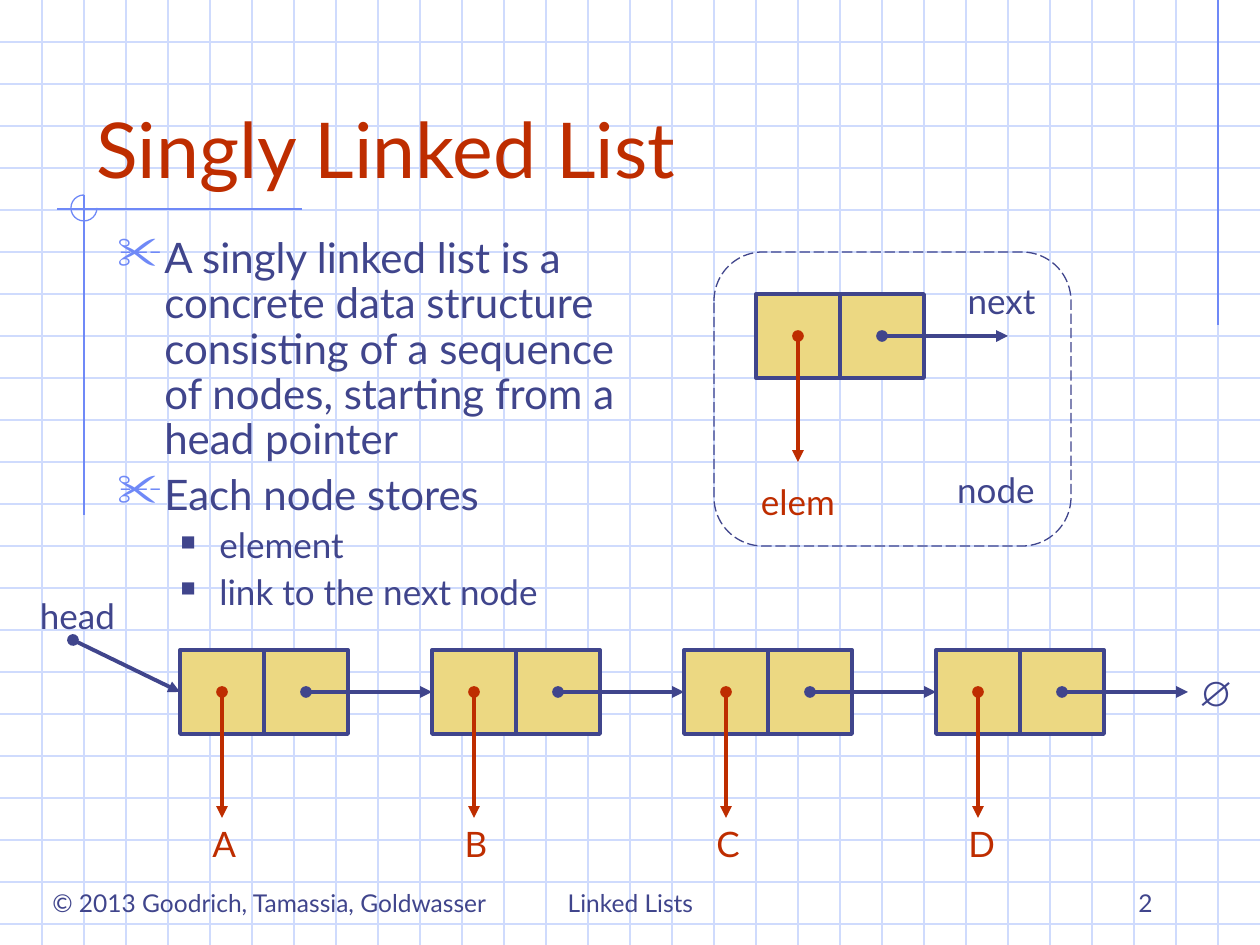
from lxml import etree
from pptx import Presentation
from pptx.dml.color import RGBColor
from pptx.enum.dml import MSO_LINE
from pptx.enum.shapes import MSO_CONNECTOR, MSO_SHAPE
from pptx.enum.text import MSO_ANCHOR, MSO_AUTO_SIZE, PP_ALIGN
from pptx.oxml.ns import qn
from pptx.util import Pt

PX = 914400 / 126
WIDTH, HEIGHT = 1260, 945
GRID = 42
CELL = 2 * GRID
REACH = 3 * GRID
LEFT_SIDE = 1
LEFT, CENTER, RIGHT = PP_ALIGN.LEFT, PP_ALIGN.CENTER, PP_ALIGN.RIGHT
TOP, BOTTOM = MSO_ANCHOR.TOP, MSO_ANCHOR.BOTTOM
COLORS = {
    name: RGBColor.from_string(value)
    for name, value in {
        "grid": "CFDBFD",
        "accent": "6F89F7",
        "ink": "40458C",
        "red": "BE2D00",
        "cell": "ECD882",
    }.items()
}

prs = Presentation()
prs.slide_width, prs.slide_height = round(WIDTH * PX), round(HEIGHT * PX)
slide = prs.slides.add_slide(prs.slide_layouts[6])
shapes = slide.shapes


def add_line(x1, y1, x2, y2, color, width=0.75, pointer=False):
    """Draw a straight line; a pointer has a dot at its start and an arrow at its end."""
    line = shapes.add_connector(
        MSO_CONNECTOR.STRAIGHT, *(round(v * PX) for v in (x1, y1, x2, y2))
    )
    line.line.color.rgb = COLORS[color]
    line.line.width = Pt(width)
    if pointer:
        outline = line.line._get_or_add_ln()
        etree.SubElement(outline, qn("a:headEnd"), type="oval")
        etree.SubElement(outline, qn("a:tailEnd"), type="triangle")
    etree.SubElement(line._element.spPr, qn("a:effectLst"))
    return line


def add_label(text, box, color="ink", size=20, align=CENTER, anchor=TOP,
              wrap=False, font="Lato", bold=False):
    label = shapes.add_textbox(*(round(v * PX) for v in box))
    frame = label.text_frame
    frame.word_wrap = wrap
    frame.auto_size = MSO_AUTO_SIZE.NONE if wrap else MSO_AUTO_SIZE.SHAPE_TO_FIT_TEXT
    frame.vertical_anchor = anchor
    paragraph = frame.paragraphs[0]
    paragraph.alignment = align
    run = paragraph.add_run()
    run.text = text
    run.font.name, run.font.size, run.font.bold = font, Pt(size), bold
    run.font.color.rgb = COLORS[color]


# Graph-paper background
for y in range(GRID, HEIGHT, GRID):
    add_line(0, y, WIDTH, y, "grid")
for x in range(GRID, WIDTH, GRID):
    add_line(x, 0, x, HEIGHT, "grid")

# Margin rules and the open circle where they cross
add_line(1218, 0, 1218, 325, "accent")
add_line(302, 209, 57, 209, "accent")
add_line(84, 195, 84, 515, "accent")
crossing = shapes.add_shape(MSO_SHAPE.ARC, *(round(v * PX) for v in (71, 195, 26, 26)))
crossing.adjustments[0] = 0
crossing.adjustments[1] = 162  # 270 degrees
crossing.fill.background()
crossing.line.color.rgb = COLORS["accent"]
crossing.line.width = Pt(0.75)
crossing.shadow.inherit = False

# Footer and title
add_label("© 2013 Goodrich, Tamassia, Goldwasser", (25, 882, 489, 43), size=14)
add_label("Linked Lists", (431, 861, 399, 63), size=14, anchor=BOTTOM, wrap=True)
add_label("2", (903, 861, 262, 63), size=14, align=RIGHT, anchor=BOTTOM, wrap=True)
add_label("Singly Linked List", (84, 42, 1071, 158), "red", 44, LEFT, BOTTOM, wrap=True)

# Definition: text, level
points = [
    ("A singly linked list is a concrete data structure consisting of a sequence "
     "of nodes, starting from a head pointer", 0),
    ("Each node stores", 0),
    ("element", 1),
    ("link to the next node", 1),
]
# Level: bullet, bullet color, bullet percent, margin px, hanging px, size, space before
levels = [("✂", "accent", 110, 47, 47, 24, 6), ("■", "ink", 60, 102, 39, 20, 5)]
definition = shapes.add_textbox(*(round(v * PX) for v in (105, 231, 567, 388))).text_frame
definition.word_wrap = True
for index, (text, level) in enumerate(points):
    bullet, bullet_color, percent, margin, hanging, size, before = levels[level]
    paragraph = definition.add_paragraph() if index else definition.paragraphs[0]
    paragraph.level = level
    paragraph.line_spacing = 0.9
    paragraph.space_before = Pt(before)
    props = paragraph._p.get_or_add_pPr()
    props.set("marL", str(round(margin * PX)))
    props.set("indent", str(round(-hanging * PX)))
    bullet_fill = etree.SubElement(props, qn("a:buClr"))
    etree.SubElement(bullet_fill, qn("a:srgbClr"), val=str(COLORS[bullet_color]))
    etree.SubElement(props, qn("a:buSzPct"), val=str(percent * 1000))
    etree.SubElement(props, qn("a:buChar"), char=bullet)
    run = paragraph.add_run()
    run.text = text
    run.font.name, run.font.size = "Lato", Pt(size)
    run.font.color.rgb = COLORS["ink"]

# Frame around the single-node legend
legend = shapes.add_shape(
    MSO_SHAPE.ROUNDED_RECTANGLE, *(round(v * PX) for v in (714, 252, 357, 294))
)
legend.fill.background()
legend.line.color.rgb = COLORS["ink"]
legend.line.width = Pt(0.75)
legend.line.dash_style = MSO_LINE.LONG_DASH
legend.shadow.inherit = False

# The legend node, then the four nodes of the list
elements = "ABCD"
list_x, list_y, list_step = 180, 650, 3 * CELL
nodes = [(756, 294)] + [(list_x + i * list_step, list_y) for i in range(len(elements))]
first_cells, links = [], []
for x, y in nodes:
    for cell_x in (x, x + CELL):
        cell = shapes.add_shape(
            MSO_SHAPE.RECTANGLE, *(round(v * PX) for v in (cell_x, y, CELL, CELL))
        )
        cell.fill.solid()
        cell.fill.fore_color.rgb = COLORS["cell"]
        cell.line.color.rgb = COLORS["ink"]
        cell.line.width = Pt(2.25)
        cell.shadow.inherit = False
        if cell_x == x:
            first_cells.append(cell)
    middle = y + CELL // 2
    elem_x, next_x = x + CELL // 2, x + CELL + CELL // 2
    add_line(elem_x, middle, elem_x, middle + REACH, "red", 2.25, pointer=True)
    links.append(add_line(next_x, middle, next_x + REACH, middle, "ink", 2.25, pointer=True))

# Each list link, and the head pointer, ends at the next node
links[0] = add_line(73, 640, list_x, list_y + CELL // 2, "ink", 2.25, pointer=True)
for link, target in zip(links, first_cells[1:]):
    link.end_connect(target, LEFT_SIDE)

# Labels
for i, element in enumerate(elements):
    add_label(element, (200 + i * list_step, 816, 48, 55), "red")
add_label("next", (953, 273, 97, 55))
add_label("elem", (745, 474, 106, 55), "red")
add_label("node", (941, 462, 110, 55))
add_label("head", (24, 588, 107, 55))
add_label("∅", (1186, 665, 53, 55), font="Arial", bold=True)

prs.save("out.pptx")
